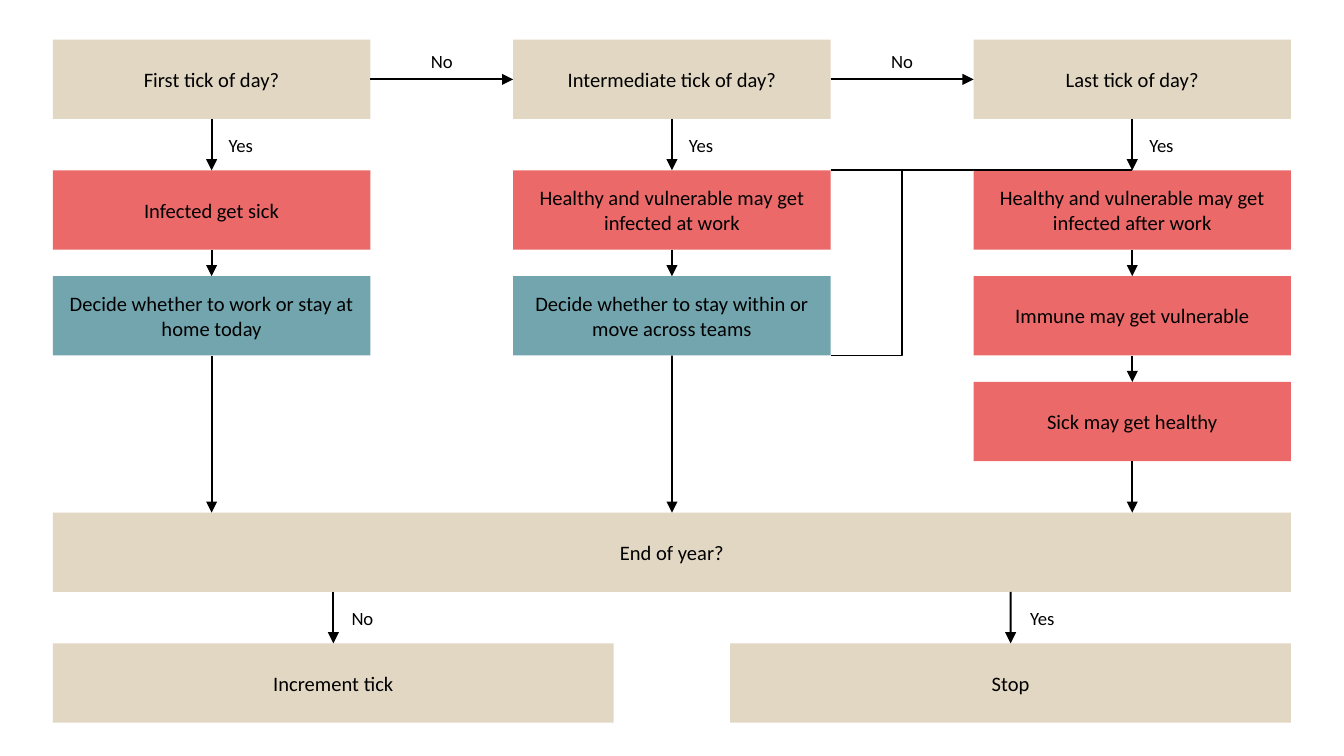
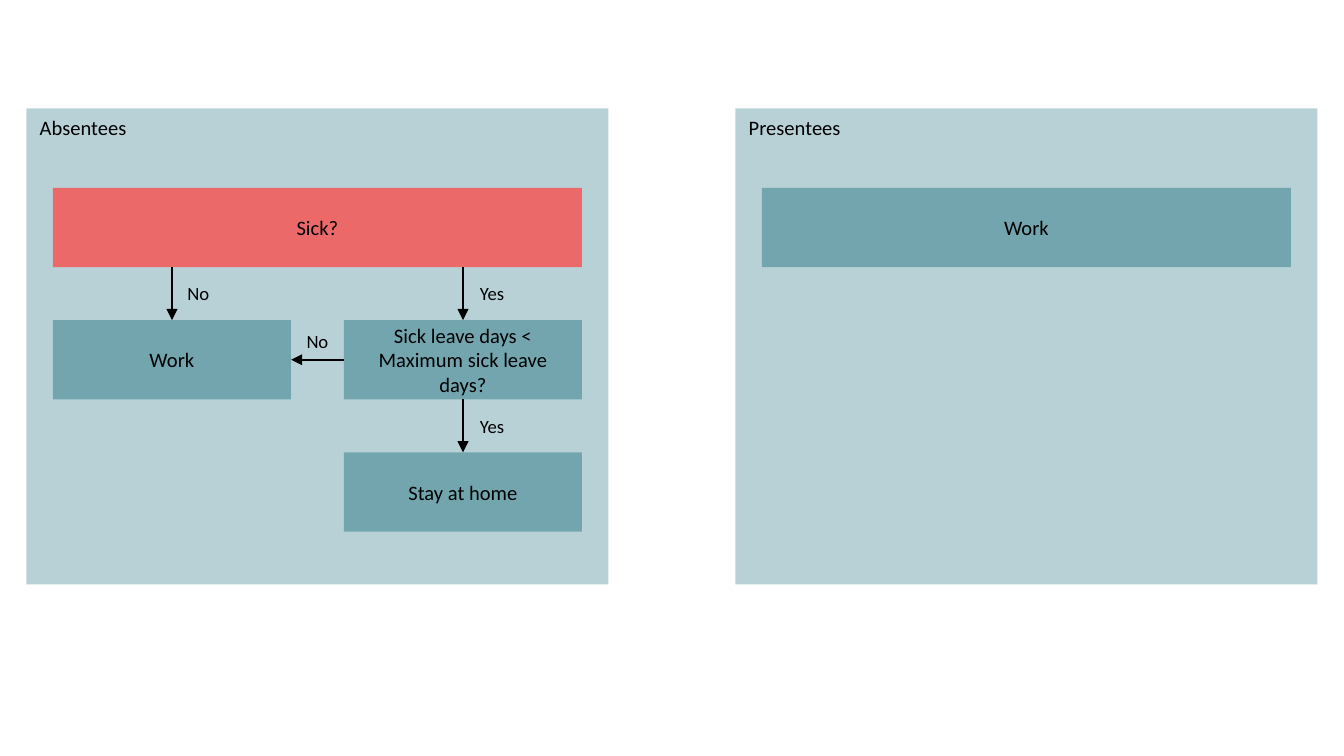
import lxml.etree
import pptx
import pptx.dml.color
import pptx.enum.shapes
import pptx.enum.text
import pptx.oxml.ns
import pptx.util

Cm = pptx.util.Cm
Kind = pptx.enum.shapes.MSO_SHAPE
Align = pptx.enum.text.PP_ALIGN
Anchor = pptx.enum.text.MSO_ANCHOR
qn = pptx.oxml.ns.qn

COLORS = {"ask": "E1D7C3", "health": "EB6969", "work": "73A5AF", "ink": "000000"}
FONT = "Calibri"

# All lengths are in centimetres.
WIDTH, HEIGHT = 25.4, 14.29
TALL = 1.5             # height of every box
ASK = TALL + 0.97      # row step where an answer labels the arrow
STEP = TALL + 0.5      # row step where the arrow has no label
LEFT, TOP = 1, 0.75
WIDE = 6
FULL = WIDTH - 2 * LEFT
COL = (FULL - WIDE) / 2
END = TOP + ASK + 2 * STEP + ASK
PAD = 0.5              # margin inside a panel
PANEL = (11, 9)
ROW = 2.5              # row step inside a panel


def color(name):
    return pptx.dml.color.RGBColor.from_string(COLORS[name])


def write(shape, text, size, align, anchor):
    frame = shape.text_frame
    frame.text = text
    frame.vertical_anchor = anchor
    par = frame.paragraphs[0]
    par.alignment = align
    font = par.runs[0].font
    font.name, font.size = FONT, pptx.util.Pt(size)
    font.color.rgb = color("ink")


def box(slide, text, fill, x, y, w, h=TALL, align=Align.CENTER, anchor=Anchor.MIDDLE):
    shape = slide.shapes.add_shape(Kind.RECTANGLE, Cm(x), Cm(y), Cm(w), Cm(h))
    shape.shadow.inherit = False
    shape.fill.solid()
    shape.fill.fore_color.rgb = color(fill)
    shape.line.fill.background()
    write(shape, text, 11, align, anchor)
    return shape


def label(slide, text, x, y):
    """Put an answer in a box whose top left corner is x, y."""
    shape = slide.shapes.add_textbox(Cm(x), Cm(y), Cm(1.1 if text == "Yes" else 1), Cm(0.69))
    shape.text_frame.word_wrap = False
    write(shape, text, 10, Align.CENTER, Anchor.MIDDLE)


def ink(line):
    line.color.rgb = color("ink")
    line.width = pptx.util.Pt(1)


def link(slide, start, end, head=True):
    """Draw a line; each end is an (x, y) point or a (shape, site) pair."""
    line = slide.shapes.add_connector(pptx.enum.shapes.MSO_CONNECTOR.STRAIGHT, 0, 0, 0, 0)
    if isinstance(start[0], (int, float)):
        line.begin_x, line.begin_y = map(Cm, start)
    else:
        line.begin_connect(*start)
    if isinstance(end[0], (int, float)):
        line.end_x, line.end_y = map(Cm, end)
    else:
        line.end_connect(*end)
    ink(line.line)
    props = line._element.spPr
    if head:
        lxml.etree.SubElement(props.find(qn("a:ln")), qn("a:tailEnd"), type="triangle")
    lxml.etree.SubElement(props, qn("a:effectLst"))


def column(slide, x, ask, steps):
    """Stack a question and its steps; return the first, second and last box."""
    mid = x + WIDE / 2
    boxes = [box(slide, ask, "ask", x, TOP, WIDE)]
    for row, (text, fill) in enumerate(steps):
        boxes.append(box(slide, text, fill, x, TOP + ASK + row * STEP, WIDE))
    for above, below in zip(boxes, boxes[1:]):
        link(slide, (above, 2), (below, 0))
    label(slide, "Yes", mid, TOP + TALL + 0.15)
    return boxes[0], boxes[1], boxes[-1]


def brace(slide, x, y, w, h):
    shape = slide.shapes.add_shape(Kind.RIGHT_BRACE, Cm(x), Cm(y), Cm(w), Cm(h))
    shape.shadow.inherit = False
    shape.fill.background()
    ink(shape.line)
    shape.adjustments[0], shape.adjustments[1] = 0.083, 0


def finish(slide, lasts):
    """Close the columns with the year question and its two outcomes."""
    year = box(slide, "End of year?", "ask", LEFT, END, FULL)
    for col, last in enumerate(lasts):
        mid = LEFT + col * COL + WIDE / 2
        link(slide, (last, 2), (year, 0) if col == 1 else (mid, END))
    wide = 10.6
    for text, reply, x in (("Increment tick", "No", LEFT),
                           ("Stop", "Yes", LEFT + FULL - wide)):
        mid = x + wide / 2
        goal = box(slide, text, "ask", x, END + ASK, wide)
        link(slide, (mid, END + TALL), (goal, 0))
        label(slide, reply, mid + 0.05, END + TALL + 0.15)


def ticks(slide):
    parts = [
        ("First tick of day?", [
            ("Infected get sick", "health"),
            ("Decide whether to work or stay at home today", "work")]),
        ("Intermediate tick of day?", [
            ("Healthy and vulnerable may get infected at work", "health"),
            ("Decide whether to stay within or move across teams", "work")]),
        ("Last tick of day?", [
            ("Healthy and vulnerable may get infected after work", "health"),
            ("Immune may get vulnerable", "health"),
            ("Sick may get healthy", "health")]),
    ]
    gap = COL - WIDE
    top = TOP + ASK
    brace(slide, LEFT + COL + WIDE, top, gap, STEP + TALL)
    cols = [column(slide, LEFT + i * COL, *part) for i, part in enumerate(parts)]
    asks, firsts, lasts = zip(*cols)
    for i, (here, there) in enumerate(zip(asks, asks[1:])):
        link(slide, (here, 3), (there, 1))
        label(slide, "No", LEFT + i * COL + WIDE + gap / 2 - 0.5, TOP + TALL / 2 - 0.69)
    link(slide, (LEFT + 2 * COL, top), (firsts[2], 0), head=False)
    finish(slide, lasts)


def panel(slide, title, x, y):
    shape = box(slide, title, "work", x, y, *PANEL, align=Align.LEFT, anchor=Anchor.TOP)
    tint = shape._element.spPr.find(".//" + qn("a:srgbClr"))
    lxml.etree.SubElement(tint, qn("a:alpha"), val="50000")


def absent(slide, x, y):
    panel(slide, "Absentees", x, y)
    full, half = PANEL[0] - 2 * PAD, 4.5
    left, right = x + PAD, x + PANEL[0] - PAD - half
    rows = [y + 3 * PAD + i * ROW for i in range(3)]
    box(slide, "Sick?", "health", left, rows[0], full)
    work = box(slide, "Work", "work", left, rows[1], half)
    days = box(slide, "Sick leave days < Maximum sick leave days?", "work",
               right, rows[1], half)
    home = box(slide, "Stay at home", "work", right, rows[2], half)
    for col, goal, reply in ((left, work, "No"), (right, days, "Yes")):
        mid = col + half / 2
        link(slide, (mid, rows[0] + TALL), (goal, 0))
        label(slide, reply, mid, rows[0] + TALL + 0.15)
    link(slide, (days, 2), (home, 0))
    label(slide, "Yes", right + half / 2, rows[1] + TALL + 0.15)
    link(slide, (days, 1), (work, 3))
    label(slide, "No", left + half, rows[1] + TALL / 2 - 0.69)


def present(slide, x, y):
    panel(slide, "Presentees", x, y)
    box(slide, "Work", "work", x + PAD, y + 3 * PAD, PANEL[0] - 2 * PAD)


def main():
    deck = pptx.Presentation()
    deck.slide_width, deck.slide_height = Cm(WIDTH), Cm(HEIGHT)
    blank = deck.slide_layouts[6]
    ticks(deck.slides.add_slide(blank))
    groups = deck.slides.add_slide(blank)
    absent(groups, PAD, 2.05)
    present(groups, WIDTH - PAD - PANEL[0], 2.05)
    deck.save("out.pptx")


if __name__ == "__main__":
    main()
